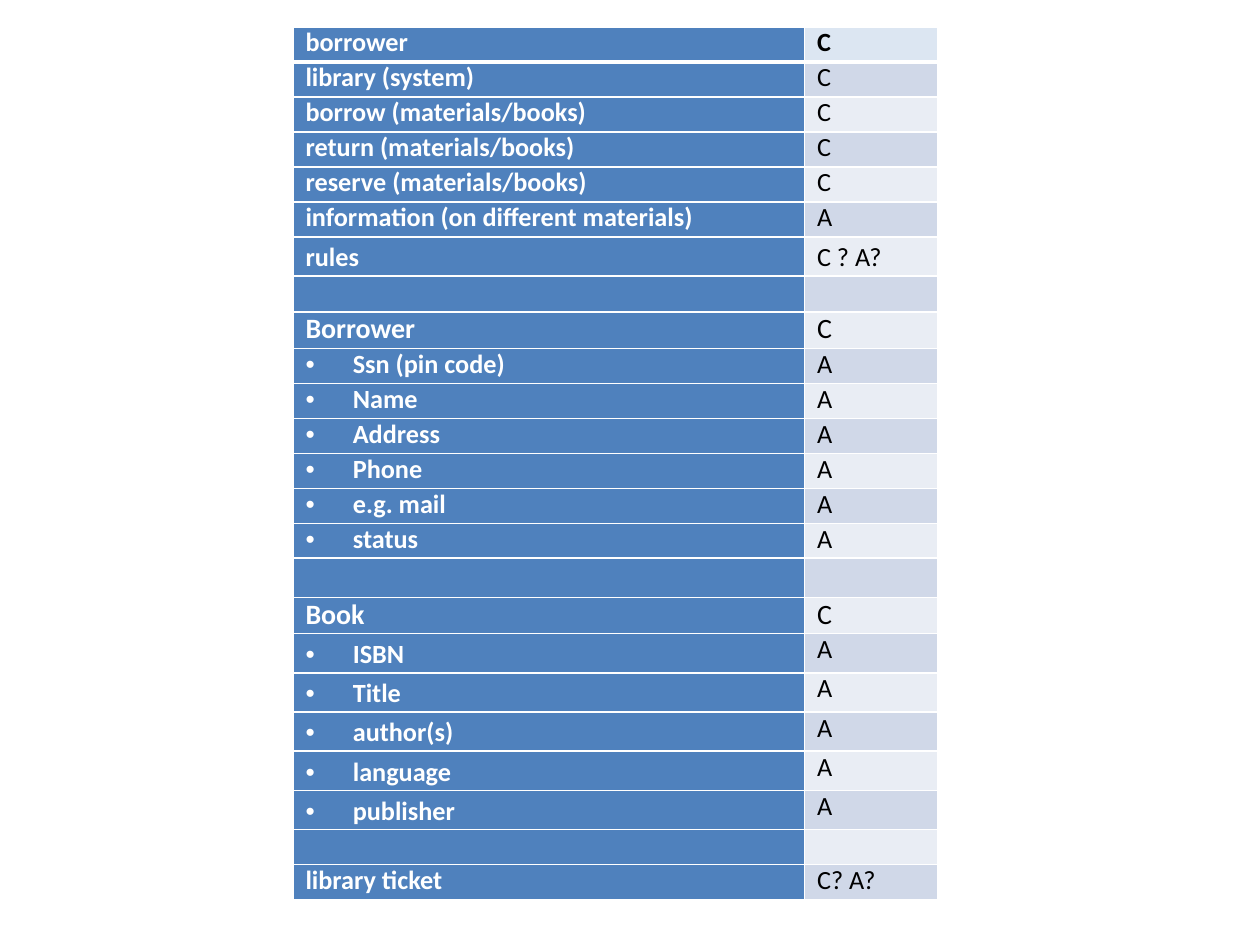
from lxml.etree import SubElement
from pptx import Presentation
from pptx.dml.color import RGBColor
from pptx.enum.text import PP_ALIGN
from pptx.oxml.ns import qn
from pptx.util import Pt

WHITE = RGBColor(0xFF, 0xFF, 0xFF)
BLACK = RGBColor(0x00, 0x00, 0x00)
BLUE = RGBColor(0x4F, 0x81, 0xBD)
PALE_BLUE = RGBColor(0xDC, 0xE6, 0xF2)
BANDS = [RGBColor(0xE9, 0xED, 0xF4), RGBColor(0xD0, 0xD8, 0xE8)]

# Row kinds: height, text size, line spacing, bulleted
KINDS = {
    "plain": (20, 15, None, False),
    "loose": (22.4, 15, 1.15, False),
    "head": (20.7, 16, None, False),
    "item": (20, 15, None, True),
    "loose item": (22.4, 15, 1.15, True),
    "gap": (20.7, 15, None, False),
    "tall gap": (22.4, 15, None, False),
    "low gap": (20, 15, None, False),
}
ROWS = [
    ("borrower", "C", "plain"),
    ("library (system)", "C", "plain"),
    ("borrow (materials/books)", "C", "plain"),
    ("return (materials/books)", "C", "plain"),
    ("reserve (materials/books)", "C", "plain"),
    ("information (on different materials)", "A", "plain"),
    ("rules", "C ? A?", "loose"),
    ("", "", "gap"),
    ("Borrower", "C", "head"),
    ("Ssn (pin code)", "A", "item"),
    ("Name", "A", "item"),
    ("Address", "A", "item"),
    ("Phone", "A", "item"),
    ("e.g. mail", "A", "item"),
    ("status", "A", "item"),
    ("", "", "tall gap"),
    ("Book", "C", "head"),
    ("ISBN", "A", "loose item"),
    ("Title", "A", "loose item"),
    ("author(s)", "A", "loose item"),
    ("language", "A", "loose item"),
    ("publisher", "A", "loose item"),
    ("", "", "low gap"),
    ("library ticket", "C? A?", "plain"),
]


def add_borders(cell, widths):
    properties = cell._tc.get_or_add_tcPr()
    for side, width in widths.items():
        line = SubElement(properties, qn(f"a:ln{side}"), w=str(Pt(width)))
        fill = SubElement(line, qn("a:solidFill"))
        SubElement(fill, qn("a:srgbClr"), val=str(WHITE))


def add_bullet(para):
    properties = para._p.get_or_add_pPr()
    properties.set("marL", str(Pt(27)))
    properties.set("indent", str(Pt(-27)))
    SubElement(properties, qn("a:buFont"), typeface="Arial")
    SubElement(properties, qn("a:buChar"), char="•")


deck = Presentation()
deck.slide_width, deck.slide_height = Pt(720), Pt(540)
page = deck.slides.add_slide(deck.slide_layouts[6])

# Table grid
height = sum(KINDS[kind][0] for _, _, kind in ROWS)
table = page.shapes.add_table(
    len(ROWS), 2, Pt(167.4), Pt(15.4), Pt(368.6), Pt(height)).table
table.columns[0].width, table.columns[1].width = Pt(292.3), Pt(76.3)

# Candidate terms and their class or attribute mark
for index, (term, mark, kind) in enumerate(ROWS):
    row_height, size, spacing, bulleted = KINDS[kind]
    table.rows[index].height = Pt(row_height)
    for column, text in enumerate((term, mark)):
        is_term = column == 0
        cell = table.cell(index, column)
        margins = {"margin_left": Pt(7.2), "margin_right": Pt(7.2),
                   "margin_top": 0, "margin_bottom": 0}
        for name, value in margins.items():
            setattr(cell, name, value)
        add_borders(cell, {"L": 1, "R": 1, "T": 3 if index == 1 else 1,
                           "B": 3 if index == 0 else 1})
        cell.fill.solid()
        band = PALE_BLUE if index == 0 else BANDS[index % 2]
        cell.fill.fore_color.rgb = BLUE if is_term else band

        para = cell.text_frame.paragraphs[0]
        if not text:
            SubElement(para._p, qn("a:endParaRPr"), sz=str(size * 100))
            continue
        if spacing and (is_term or not bulleted):
            para.line_spacing = spacing
        if bulleted and is_term:
            add_bullet(para)
        elif bulleted:
            para.alignment = PP_ALIGN.JUSTIFY
        span = para.add_run()
        span.text = text
        style = {"name": "Calibri", "size": Pt(size),
                 "bold": is_term or index == 0}
        for name, value in style.items():
            setattr(span.font, name, value)
        span.font.color.rgb = WHITE if is_term else BLACK

deck.save("out.pptx")
